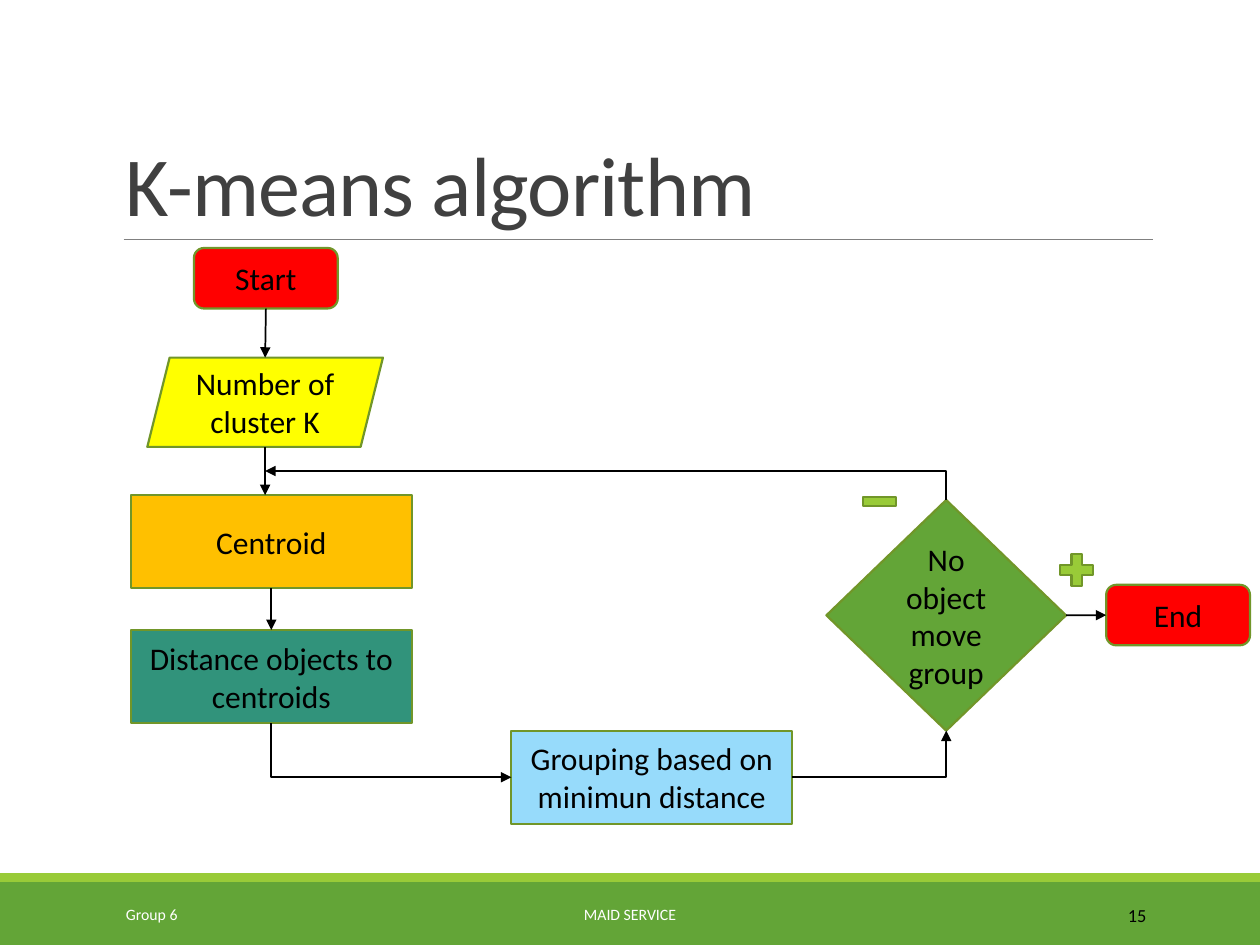
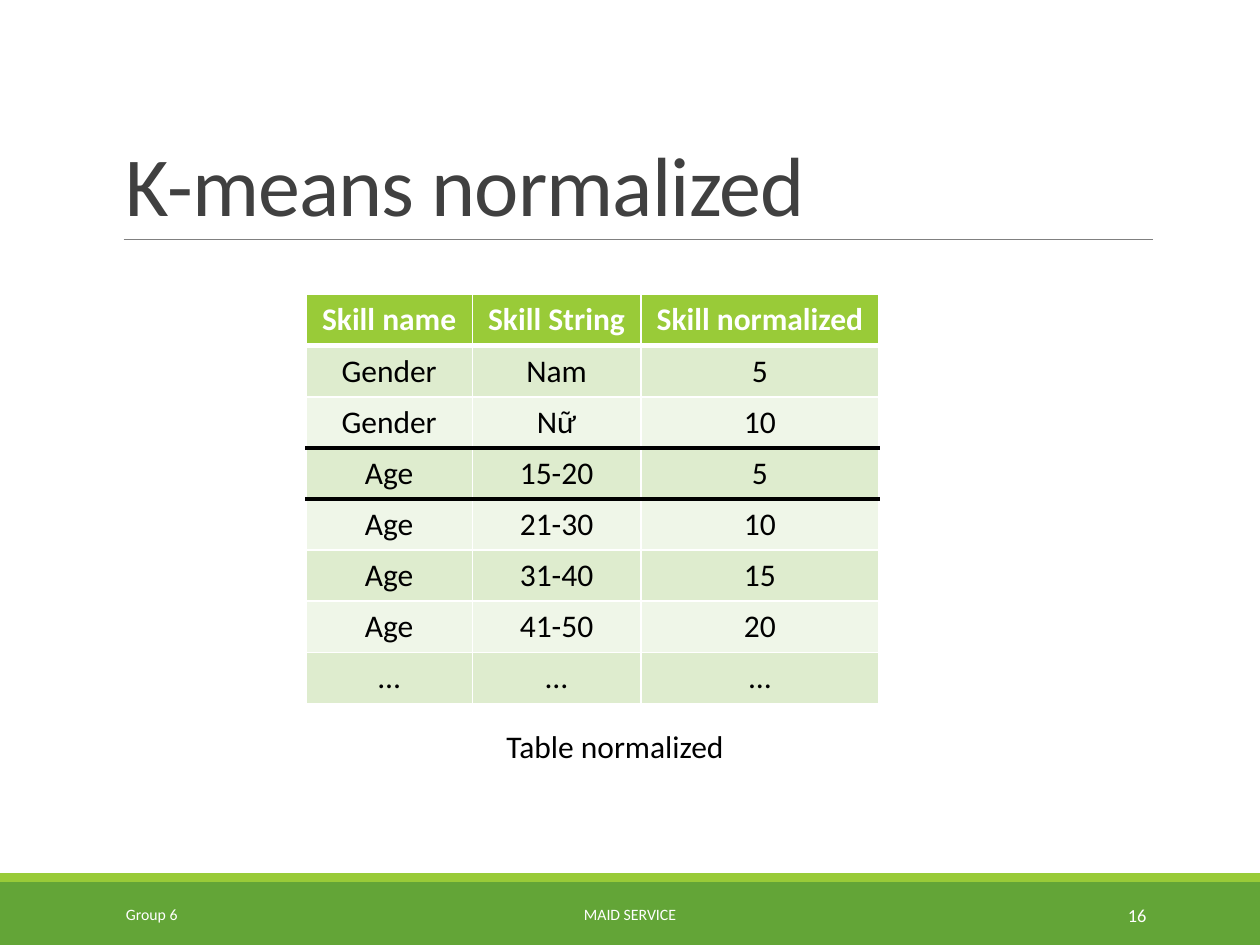
from lxml import etree
from pptx import Presentation
from pptx.dml.color import RGBColor
from pptx.enum.shapes import MSO_CONNECTOR, MSO_SHAPE
from pptx.enum.text import MSO_ANCHOR, PP_ALIGN
from pptx.oxml.ns import qn
from pptx.util import Cm, Pt

RECTANGLE = MSO_SHAPE.RECTANGLE
TERMINAL = MSO_SHAPE.FLOWCHART_ALTERNATE_PROCESS
PARALLELOGRAM = MSO_SHAPE.PARALLELOGRAM
DIAMOND = MSO_SHAPE.DIAMOND
MINUS = MSO_SHAPE.MATH_MINUS
PLUS = MSO_SHAPE.MATH_PLUS
STRAIGHT = MSO_CONNECTOR.STRAIGHT
LEFT, CENTER, RIGHT = PP_ALIGN.LEFT, PP_ALIGN.CENTER, PP_ALIGN.RIGHT
TOP_ANCHOR, MIDDLE, LOW = MSO_ANCHOR.TOP, MSO_ANCHOR.MIDDLE, MSO_ANCHOR.BOTTOM
TOP, LEFT_SIDE, BOTTOM, RIGHT_SIDE = range(4)

FONT = "Calibri"
BLACK, WHITE = "000000", "FFFFFF"
GREEN, LIME, OLIVE = "63A537", "99CB38", "719629"
RED, YELLOW, ORANGE, TEAL, SKY = "FF0000", "FFFF00", "FFC000", "31937B", "97DBFB"
TITLE_GRAY, RULE_GRAY = "404040", "808080"
BANDS = ("EFF6E8", "DEECCE")

SLIDE_WIDTH, SLIDE_HEIGHT = 25.4, 19.05
STEP_SIZE = (5.66, 1.88)
TERMINAL_SIZE = (2.9, 1.22)
ROW_HEIGHT = 1.03
COLUMN_WIDTHS = (3.35, 3.4, 4.8)
THICK_BELOW = (2, 3)
SKILLS = (
    ("Skill name", "Skill String", "Skill normalized"),
    ("Gender", "Nam", "5"),
    ("Gender", "Nữ", "10"),
    ("Age", "15-20", "5"),
    ("Age", "21-30", "10"),
    ("Age", "31-40", "15"),
    ("Age", "41-50", "20"),
    ("…", "…", "…"),
)


def color(value):
    return RGBColor.from_string(value)


def write(frame, text, size=18, ink=BLACK, bold=False, align=CENTER,
          anchor=MIDDLE, leading=None, tracking=None):
    frame.vertical_anchor = anchor
    para = frame.paragraphs[0]
    para.alignment = align
    if leading:
        para.line_spacing = leading
    span = para.add_run()
    span.text = text
    font = span.font
    font.name, font.size, font.bold = FONT, Pt(size), bold
    font.color.rgb = color(ink)
    if tracking:
        font._element.set("spc", str(tracking))


def add_text(page, text, left, top, width, height, wrap=True, **style):
    box = page.shapes.add_textbox(Cm(left), Cm(top), Cm(width), Cm(height))
    box.text_frame.word_wrap = wrap
    write(box.text_frame, text, **style)


def add_block(page, kind, left, top, size, fill, text=None, outline=OLIVE):
    width, height = size
    block = page.shapes.add_shape(kind, Cm(left), Cm(top), Cm(width), Cm(height))
    block.shadow.inherit = False
    block.fill.solid()
    block.fill.fore_color.rgb = color(fill)
    if outline:
        block.line.color.rgb = color(outline)
        block.line.width = Pt(1.25)
    else:
        block.line.fill.background()
    if text:
        block.text_frame.word_wrap = True
        write(block.text_frame, text)
    return block


def add_line(page, begin, end, ink=BLACK, width=1, arrow=True):
    line = page.shapes.add_connector(STRAIGHT, *map(int, (*begin, *end)))
    line.line.color.rgb = color(ink)
    line.line.width = Pt(width)
    if arrow:
        etree.SubElement(line.line._get_or_add_ln(), qn("a:tailEnd"), type="triangle")
    etree.SubElement(line._element.spPr, qn("a:effectLst"))
    return line


def side(block, site):
    x = {LEFT_SIDE: 0, RIGHT_SIDE: block.width}.get(site, block.width // 2)
    y = {TOP: 0, BOTTOM: block.height}.get(site, block.height // 2)
    return block.left + x, block.top + y


def join(page, source, source_site, target, target_site):
    line = add_line(page, side(source, source_site), side(target, target_site))
    line.begin_connect(source, source_site)
    line.end_connect(target, target_site)


def add_elbow(page, begin, end, vertical_first=False):
    (x1, y1), (x2, y2) = begin, end
    if vertical_first:
        middle_x, middle_y = (x1 + x2) / 2, (y1 + y2) / 2
        half_x, half_y = (x2 - x1) / 2, (y2 - y1) / 2
        begin = middle_x + half_y, middle_y - half_x
        end = middle_x - half_y, middle_y + half_x
    elbow = add_line(page, begin, end)
    properties = elbow._element.spPr
    properties.find(qn("a:prstGeom")).set("prst", "bentConnector2")
    if vertical_first:
        properties.find(qn("a:xfrm")).set("rot", str(270 * 60000))


def add_page(deck, title, number, number_ink):
    page = deck.slides.add_slide(deck.slide_layouts[6])
    add_block(page, RECTANGLE, 0, 17.78, (SLIDE_WIDTH, 1.27), GREEN, outline=None)
    add_block(page, RECTANGLE, 0, 17.6, (SLIDE_WIDTH, 0.18), LIME, outline=None)
    add_line(page, (Cm(2.49), Cm(4.83)), (Cm(23.24), Cm(4.83)),
             ink=RULE_GRAY, width=0.5, arrow=False)
    add_text(page, title, 2.29, 0.79, 20.96, 4.04, size=48, ink=TITLE_GRAY,
             align=LEFT, anchor=LOW, leading=0.85, tracking=-50)
    footers = (
        ("Group 6", 2.29, 5.16, 9, WHITE, LEFT),
        ("MAID SERVICE", 7.67, 10.06, 9, WHITE, CENTER),
        (number, 20.62, 2.74, 10.5, number_ink, RIGHT),
    )
    for text, left, width, size, ink, align in footers:
        add_text(page, text, left, 17.93, width, 1.02, size=size, ink=ink, align=align)
    return page


def add_flowchart(page):
    clusters = add_block(page, PARALLELOGRAM, 2.97, 7.21, (4.75, 1.8), YELLOW,
                         "Number of cluster K")
    centroid = add_block(page, RECTANGLE, 2.64, 9.98, STEP_SIZE, ORANGE, "Centroid")
    distance = add_block(page, RECTANGLE, 2.64, 12.7, STEP_SIZE, TEAL,
                         "Distance objects to centroids")
    grouping = add_block(page, RECTANGLE, 10.31, 14.73, STEP_SIZE, SKY,
                         "Grouping based on minimun distance")
    decision = add_block(page, DIAMOND, 16.66, 10.08, (4.83, 4.65), GREEN,
                         "No object move group")
    finish = add_block(page, TERMINAL, 22.3, 11.79, TERMINAL_SIZE, RED, "End")
    start = add_block(page, TERMINAL, 3.91, 5, TERMINAL_SIZE, RED, "Start")
    add_block(page, MINUS, 17.27, 9.73, (0.91, 0.76), LIME)
    add_block(page, PLUS, 21.26, 11.05, (0.89, 0.89), LIME)

    add_line(page, side(start, BOTTOM), side(clusters, TOP)).begin_connect(start, BOTTOM)
    entry_x, entry_y = side(clusters, BOTTOM)
    add_line(page, (entry_x, entry_y), (entry_x, centroid.top))
    join(page, centroid, BOTTOM, distance, TOP)
    join(page, decision, RIGHT_SIDE, finish, LEFT_SIDE)
    add_elbow(page, side(distance, BOTTOM), side(grouping, LEFT_SIDE), vertical_first=True)
    add_elbow(page, side(grouping, RIGHT_SIDE), side(decision, BOTTOM))
    loop_end = entry_x, (entry_y + centroid.top) // 2
    add_elbow(page, side(decision, TOP), loop_end, vertical_first=True)


def set_borders(cell, top, bottom):
    thin = (WHITE, 1)
    borders = (("a:lnL", thin), ("a:lnR", thin), ("a:lnT", top), ("a:lnB", bottom))
    properties = cell._tc.get_or_add_tcPr()
    for position, (tag, (ink, width)) in enumerate(borders):
        border = etree.Element(qn(tag), w=str(Pt(width)))
        fill = etree.SubElement(border, qn("a:solidFill"))
        etree.SubElement(fill, qn("a:srgbClr"), val=ink)
        properties.insert(position, border)


def border_below(row):
    if row in THICK_BELOW:
        return BLACK, 3
    return WHITE, 3 if row == 0 else 1


def add_skill_table(page):
    frame = page.shapes.add_table(
        len(SKILLS), len(COLUMN_WIDTHS), Cm(6.17), Cm(5.94),
        Cm(sum(COLUMN_WIDTHS)), Cm(ROW_HEIGHT * len(SKILLS)))
    table = frame.table
    for column, width in zip(table.columns, COLUMN_WIDTHS):
        column.width = Cm(width)
    for r, values in enumerate(SKILLS):
        table.rows[r].height = Cm(ROW_HEIGHT)
        header = r == 0
        for c, value in enumerate(values):
            cell = table.cell(r, c)
            cell.fill.solid()
            cell.fill.fore_color.rgb = color(LIME if header else BANDS[r % 2])
            write(cell.text_frame, value, ink=WHITE if header else BLACK, bold=header)
            cell.vertical_anchor = TOP_ANCHOR if header else MIDDLE
            set_borders(cell, border_below(r - 1), border_below(r))


def main():
    deck = Presentation()
    deck.slide_width, deck.slide_height = Cm(SLIDE_WIDTH), Cm(SLIDE_HEIGHT)
    add_flowchart(add_page(deck, "K-means algorithm", "15", BLACK))
    page = add_page(deck, "K-means normalized", "16", WHITE)
    add_skill_table(page)
    add_text(page, "Table normalized", 9.96, 14.53, 4.95, 1.02, wrap=False,
             align=LEFT, anchor=TOP_ANCHOR)
    deck.save("out.pptx")


if __name__ == "__main__":
    main()
